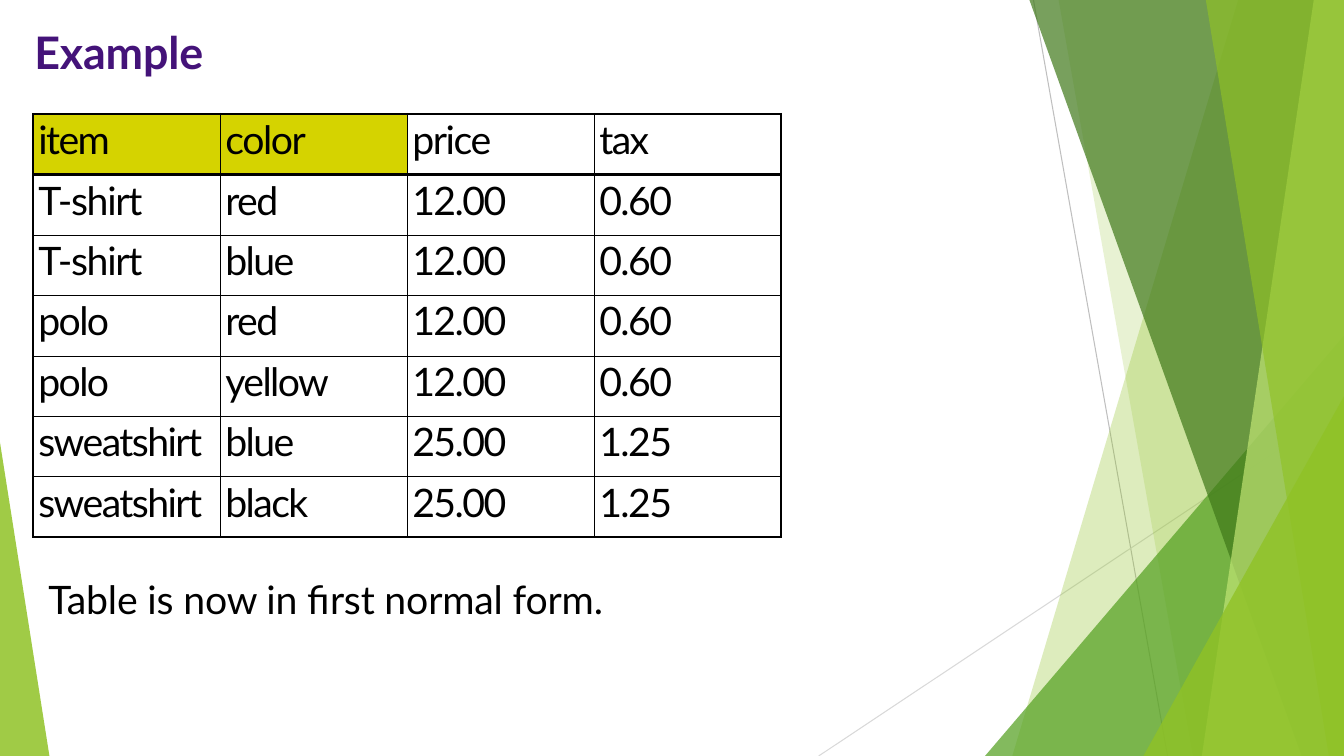
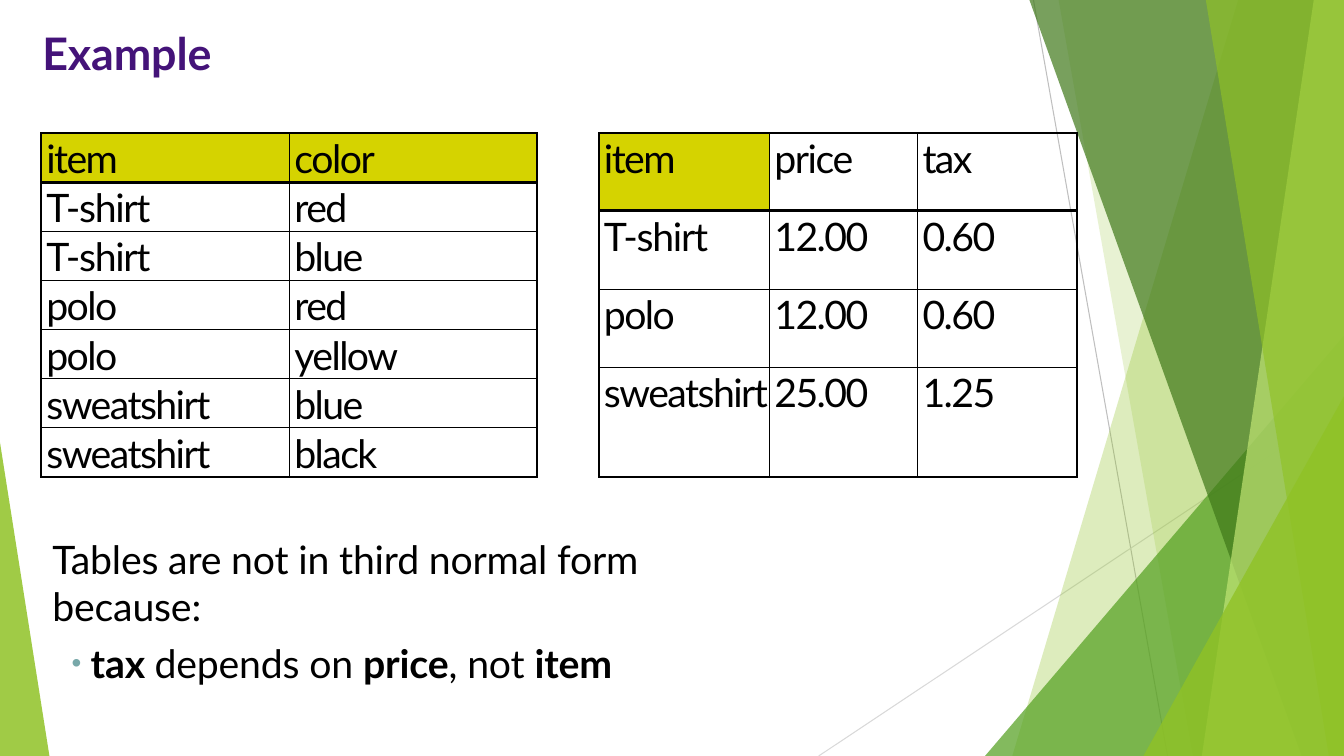
"""Two slides on normal forms, with tables over a green faceted backdrop."""
from dataclasses import dataclass

from pptx import Presentation
from pptx.dml.color import RGBColor
from pptx.enum.shapes import MSO_CONNECTOR, MSO_SHAPE
from pptx.enum.text import MSO_ANCHOR, MSO_AUTO_SIZE, PP_ALIGN
from pptx.oxml.ns import qn
from pptx.util import Inches, Pt
from lxml import etree

STRAIGHT = MSO_CONNECTOR.STRAIGHT
TRIANGLE = MSO_SHAPE.ISOSCELES_TRIANGLE
TOP = MSO_ANCHOR.TOP
NO_FIT = MSO_AUTO_SIZE.NONE
LEFT = PP_ALIGN.LEFT


@dataclass(frozen=True)
class Theme:
    """Page size, colours, type sizes and line weights."""

    width: float = 13.33
    height: float = 7.5
    font: str = "Lato"
    title_size: int = 32
    text_size: int = 28
    title: str = "441379"
    text: str = "000000"
    key: str = "D5D300"
    bullet: str = "78A8A9"
    lime: str = "90C226"
    pale: str = "C0E474"
    green: str = "54A021"
    forest: str = "3F7819"
    ray: str = "BFBFBF"
    light_ray: str = "D9D9D9"
    thin: float = 0.5
    outer: float = 1.5
    header: float = 2.25
    tracking: float = -0.1
    cell_tracking: float = -1.1


THEME = Theme()
CELL_TRACKING = {"color": -1, "price": -1, "T-shirt": -0.9}


def add_xml(parent, tag, **attributes):
    """Append a child element and return it."""
    return etree.SubElement(parent, qn(tag), attributes)


def rgb(value):
    """Turn a hex string into a colour."""
    return RGBColor.from_string(value)


def style_span(span, size, color, tracking, bold=False):
    """Format one run."""
    span.font.name = THEME.font
    span.font.size = Pt(size)
    span.font.bold = bold
    span.font.color.rgb = rgb(color)
    span.font._element.set("spc", str(round(tracking * 100)))


def place_box(box, left, top, width, height):
    """Set position and size in inches."""
    box.left, box.top = Inches(left), Inches(top)
    box.width, box.height = Inches(width), Inches(height)


def style_facet(shape, color, opacity):
    """Give a backdrop shape a translucent fill and no line."""
    shape.shadow.inherit = False
    shape.line.fill.background()
    shape.fill.solid()
    shape.fill.fore_color.rgb = rgb(color)
    tint = shape.element.spPr.find(qn("a:solidFill")).find(qn("a:srgbClr"))
    add_xml(tint, "a:alpha", val=str(opacity * 1000))


def add_ray(page, start, end, color):
    """Draw a hairline across the backdrop."""
    ray = page.shapes.add_connector(STRAIGHT, *map(Inches, start + end))
    ray.line.color.rgb = rgb(color)
    ray.line.width = Pt(0.75)
    add_xml(ray.element.spPr, "a:effectLst")


def add_band(page, top_x, bottom_x, color, opacity):
    """Draw a full-height band from a slanted edge to the right margin."""
    corners = [(THEME.width, 0), (THEME.width, THEME.height), (bottom_x, THEME.height)]
    outline = page.shapes.build_freeform(Inches(top_x), 0)
    outline.add_line_segments([(Inches(x), Inches(y)) for x, y in corners])
    style_facet(outline.convert_to_shape(), color, opacity)


def add_wedge(page, left, top, width, apex, color, opacity):
    """Draw a triangle standing on the bottom edge."""
    size = map(Inches, (left, top, width, THEME.height - top))
    wedge = page.shapes.add_shape(TRIANGLE, *size)
    wedge.adjustments[0] = apex
    style_facet(wedge, color, opacity)


def draw_backdrop(page):
    """Draw the facets and move them to the layout that the slides share."""
    add_ray(page, (10.25, 0), (11.58, THEME.height), THEME.ray)
    add_ray(page, (THEME.width, 4.03), (8.12, THEME.height), THEME.light_ray)
    add_band(page, 12.28, 10.04, THEME.lime, 30)
    add_band(page, 10.5, 11.83, THEME.lime, 20)
    add_wedge(page, 9.77, 3.33, 3.56, 1, THEME.green, 72)
    add_band(page, 10.21, 12.91, THEME.forest, 70)
    add_band(page, 13.03, 11.92, THEME.pale, 70)
    add_band(page, 11.96, 13.18, THEME.lime, 65)
    add_wedge(page, 11.34, 3.93, 1.99, 1, THEME.lime, 80)
    add_wedge(page, 0, 4.39, 0.49, 0, THEME.lime, 85)
    facets = [shape for shape in page.shapes if not shape.is_placeholder]
    for index, facet in enumerate(facets):
        facet.element.xpath(".//p:cNvPr")[0].set("id", str(100 + index))
        page.slide_layout.shapes.element.insert(2 + index, facet.element)


def prepare_frame(box, side, top):
    """Set the insets and fitting of a placeholder and return its frame."""
    frame = box.text_frame
    frame.word_wrap = True
    frame.auto_size = NO_FIT
    frame.vertical_anchor = TOP
    frame.margin_left = frame.margin_right = Inches(side)
    frame.margin_top, frame.margin_bottom = Inches(top), 0
    return frame


def set_title(page, text, left, top):
    """Fill the title placeholder."""
    place_box(page.shapes.title, left, top, 2.84, 0.55)
    para = prepare_frame(page.shapes.title, 0.01, 0.02).paragraphs[0]
    para.text = text
    para.alignment = LEFT
    style_span(para.runs[0], THEME.title_size, THEME.title, THEME.tracking, True)


def set_indent(para, margin, hanging):
    """Set the left margin and hanging indent and return the properties."""
    properties = para._p.get_or_add_pPr()
    properties.set("marL", str(Inches(margin)))
    properties.set("indent", str(-Inches(hanging)))
    return properties


def set_body(page, text, position, side, top):
    """Fill the body placeholder with one plain paragraph."""
    body = page.placeholders[1]
    place_box(body, *position)
    frame = prepare_frame(body, side, top)
    para = frame.paragraphs[0]
    para.text = text
    para.space_before = Pt(0)
    add_xml(set_indent(para, 0.01, 0), "a:buNone")
    style_span(para.runs[0], THEME.text_size, THEME.text, THEME.tracking)
    return frame


def add_bullet(frame, pieces):
    """Add a bullet whose pieces are (text, bold) pairs."""
    para = frame.add_paragraph()
    para.space_before = Pt(7.2)
    properties = set_indent(para, 0.39, 0.19)
    add_xml(add_xml(properties, "a:buClr"), "a:srgbClr", val=THEME.bullet)
    add_xml(properties, "a:buSzPct", val="71000")
    add_xml(properties, "a:buChar", char="•")
    for text, bold in pieces:
        span = para.add_run()
        span.text = text
        style_span(span, THEME.text_size, THEME.text, THEME.tracking, bold)


def set_borders(cell, weights):
    """Draw the cell borders, given as a weight for each side."""
    properties = cell._tc.get_or_add_tcPr()
    for side, weight in weights.items():
        line = add_xml(properties, f"a:ln{side}", w=str(Pt(weight)))
        add_xml(add_xml(line, "a:solidFill"), "a:srgbClr", val=THEME.text)


def fill_cell(cell, text, is_key):
    """Write and format one table cell."""
    cell.margin_left, cell.margin_right = Inches(0.05), 0
    cell.margin_top, cell.margin_bottom = Inches(0.02), 0
    cell.vertical_anchor = TOP
    if is_key:
        cell.fill.solid()
        cell.fill.fore_color.rgb = rgb(THEME.key)
    else:
        cell.fill.background()
    cell.text_frame.text = text
    tracking = CELL_TRACKING.get(text, THEME.cell_tracking)
    span = cell.text_frame.paragraphs[0].runs[0]
    style_span(span, THEME.text_size, THEME.text, tracking)


def add_data_table(page, left, top, widths, heights, rows, key_count):
    """Add a ruled table whose first header cells are marked as the key."""
    size = map(Inches, (left, top, sum(widths), sum(heights)))
    table = page.shapes.add_table(len(rows), len(widths), *size).table
    table.first_row = table.horz_banding = False
    for column, width in zip(table.columns, widths):
        column.width = Inches(width)
    last_row, last_column = len(rows) - 1, len(widths) - 1
    for r, (row, height) in enumerate(zip(rows, heights)):
        table.rows[r].height = Inches(height)
        for c, text in enumerate(row):
            cell = table.cell(r, c)
            set_borders(cell, {
                "L": THEME.outer if c == 0 else THEME.thin,
                "R": THEME.outer if c == last_column else THEME.thin,
                "T": {0: THEME.outer, 1: THEME.header}.get(r, THEME.thin),
                "B": {0: THEME.header, last_row: THEME.outer}.get(r, THEME.thin),
            })
            fill_cell(cell, text, r == 0 and c < key_count)


def build_first_form(page, rows):
    """Show the whole table in first normal form."""
    set_title(page, "Example", 0.33, 0.22)
    add_data_table(page, 0.33, 1.13, [1.855] * 4, [0.6] * 7, rows, 2)
    set_body(page, "Table is now in first normal form.", (0.47, 5.69, 7.88, 0.49), 0, 0.02)


def build_split_tables(page, rows):
    """Show the table split by item and color, and by item alone."""
    colors = [row[:2] for row in rows]
    prices = list(dict.fromkeys((row[0], *row[2:]) for row in rows))
    set_title(page, "Example", 0.41, 0.23)
    add_data_table(page, 0.41, 1.32, [2.46] * 2, [0.487] * 7, colors, 2)
    add_data_table(page, 5.94, 1.32, [1.69, 1.47, 1.58], [0.77, 0.78, 0.77, 1.09], prices, 1)
    frame = set_body(page, "Tables are not in third normal form because:",
                     (0.41, 5.26, 7.4, 1.6), 0.1, 0.05)
    add_bullet(frame, [("tax ", True), ("depends on ", False), ("price", True),
                       (", not ", False), ("item", True)])


def main():
    """Build and save the deck."""
    rows = [
        ("item", "color", "price", "tax"),
        ("T-shirt", "red", "12.00", "0.60"),
        ("T-shirt", "blue", "12.00", "0.60"),
        ("polo", "red", "12.00", "0.60"),
        ("polo", "yellow", "12.00", "0.60"),
        ("sweatshirt", "blue", "25.00", "1.25"),
        ("sweatshirt", "black", "25.00", "1.25"),
    ]
    deck = Presentation()
    deck.slide_width, deck.slide_height = Inches(THEME.width), Inches(THEME.height)
    layout = deck.slide_layouts[1]
    first, second = (deck.slides.add_slide(layout) for _ in range(2))
    draw_backdrop(first)
    build_first_form(first, rows)
    build_split_tables(second, rows)
    deck.save("out.pptx")


if __name__ == "__main__":
    main()
